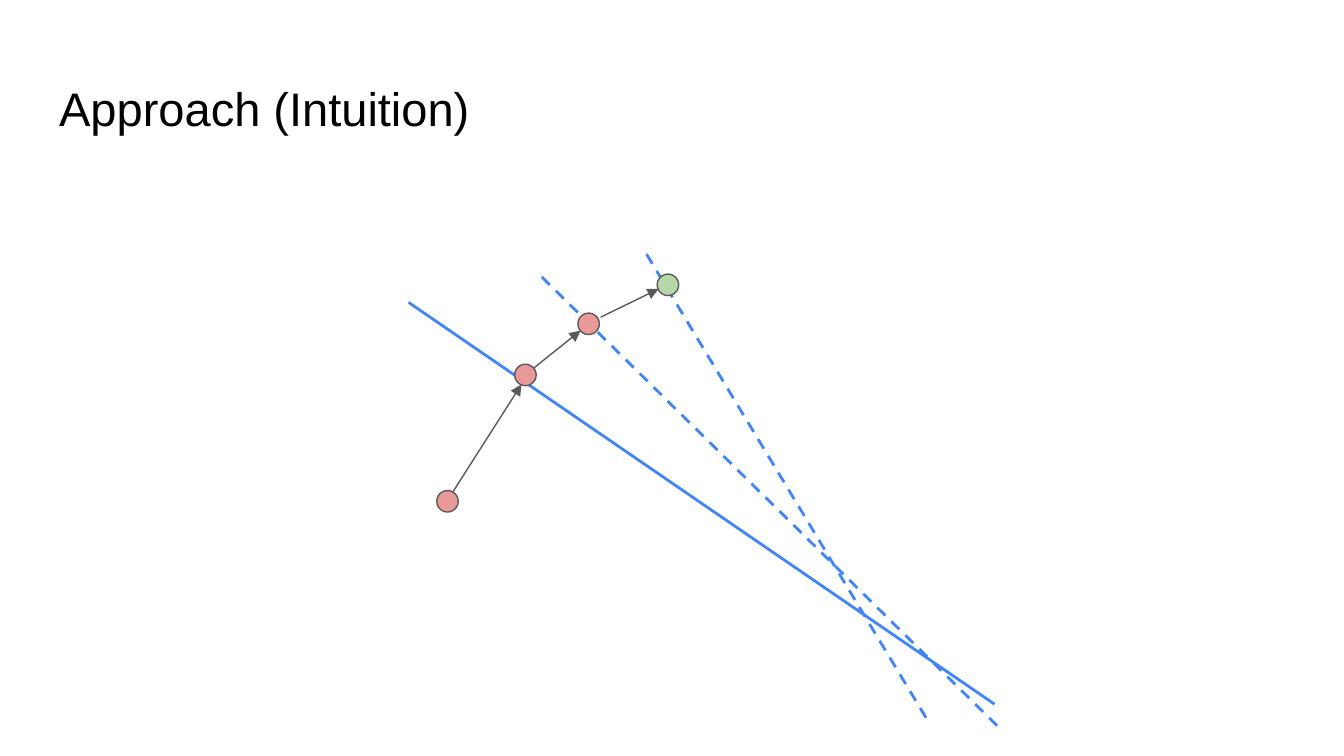
import pptx
import pptx.dml.color
import pptx.enum.dml
import pptx.enum.shapes
import pptx.enum.text
import pptx.oxml.ns
import pptx.util
from lxml import etree
from pptx.util import Inches

COLORS = {
    "text": "000000",
    "boundary": "4285F4",
    "outline": "595959",
    "step": "EA9999",
    "goal": "B6D7A8",
}
POINT_SIZE = 0.16

# Positions within the diagram box: (start, end, dashed)
BOUNDARIES = [
    ((4.4, 3.39), (0.04, 0.4), False),
    ((3.89, 3.49), (1.81, 0.04), True),
    ((4.42, 3.55), (1.03, 0.21), True),
]
ARROWS = [
    ((0.37, 1.81), (0.88, 1.01)),
    ((0.97, 0.89), (1.32, 0.61)),
    ((1.47, 0.51), (1.9, 0.3)),
]
# Left, top, rotation and colour of each point along the path
POINTS = [
    (0.25, 1.8, 345, "step"),
    (0.83, 0.86, 341.4, "step"),
    (1.3, 0.48, 5.4, "step"),
    (1.89, 0.19, 16.4, "goal"),
]


def rgb(name):
    return pptx.dml.color.RGBColor.from_string(COLORS[name])


def write_text(text_frame, text, *, size, color, font="Arial",
               align=pptx.enum.text.PP_ALIGN.LEFT,
               anchor=pptx.enum.text.MSO_ANCHOR.MIDDLE):
    text_frame.word_wrap = True
    text_frame.auto_size = pptx.enum.text.MSO_AUTO_SIZE.NONE
    text_frame.vertical_anchor = anchor
    text_frame.margin_left = text_frame.margin_right = Inches(0.1)
    text_frame.margin_top = text_frame.margin_bottom = Inches(0.1)
    paragraph = text_frame.paragraphs[0]
    paragraph.alignment = align
    run = paragraph.add_run()
    run.text = text
    run.font.name = font
    run.font.size = pptx.util.Pt(size)
    run.font.color.rgb = rgb(color)


def add_title(slide, text, left, top, width, height):
    title = slide.shapes.title
    title.left, title.top = Inches(left), Inches(top)
    title.width, title.height = Inches(width), Inches(height)
    write_text(title.text_frame, text, size=25.2, color="text")


def add_line(slide, start, end, *, color, width, dashed=False, arrow=False):
    connector = slide.shapes.add_connector(
        pptx.enum.shapes.MSO_CONNECTOR.STRAIGHT,
        *[Inches(value) for value in (*start, *end)])
    connector.line.color.rgb = rgb(color)
    connector.line.width = pptx.util.Pt(width)
    if dashed:
        connector.line.dash_style = pptx.enum.dml.MSO_LINE.DASH
    properties = connector.element.spPr
    if arrow:
        line = properties.find(pptx.oxml.ns.qn("a:ln"))
        etree.SubElement(line, pptx.oxml.ns.qn("a:tailEnd"), type="triangle")
    etree.SubElement(properties, pptx.oxml.ns.qn("a:effectLst"))


def add_point(slide, left, top, rotation, color):
    point = slide.shapes.add_shape(
        pptx.enum.shapes.MSO_SHAPE.OVAL, Inches(left), Inches(top),
        Inches(POINT_SIZE), Inches(POINT_SIZE))
    point.rotation = rotation
    point.shadow.inherit = False
    point.fill.solid()
    point.fill.fore_color.rgb = rgb(color)
    point.line.color.rgb = rgb("outline")
    point.line.width = pptx.util.Pt(0.75)


def add_diagram(slide, left, top):
    """Draw the path of points stepping across the decision boundaries."""
    def place(position):
        return left + position[0], top + position[1]

    for start, end, dashed in BOUNDARIES:
        add_line(slide, place(start), place(end), color="boundary",
                 width=1.5, dashed=dashed)
    for start, end in ARROWS:
        add_line(slide, place(start), place(end), color="outline",
                 width=0.75, arrow=True)
    for x, y, rotation, color in POINTS:
        add_point(slide, *place((x, y)), rotation, color)


def main():
    presentation = pptx.Presentation()
    presentation.slide_width = Inches(10)
    presentation.slide_height = Inches(10 * 9 / 16)
    title_only = presentation.slide_layouts[5]
    slide = presentation.slides.add_slide(title_only)
    add_title(slide, "Approach (Intuition)", 0.34, 0.49, 9.32, 0.63)
    add_diagram(slide, 3, 1.85)
    presentation.save("out.pptx")


if __name__ == "__main__":
    main()
